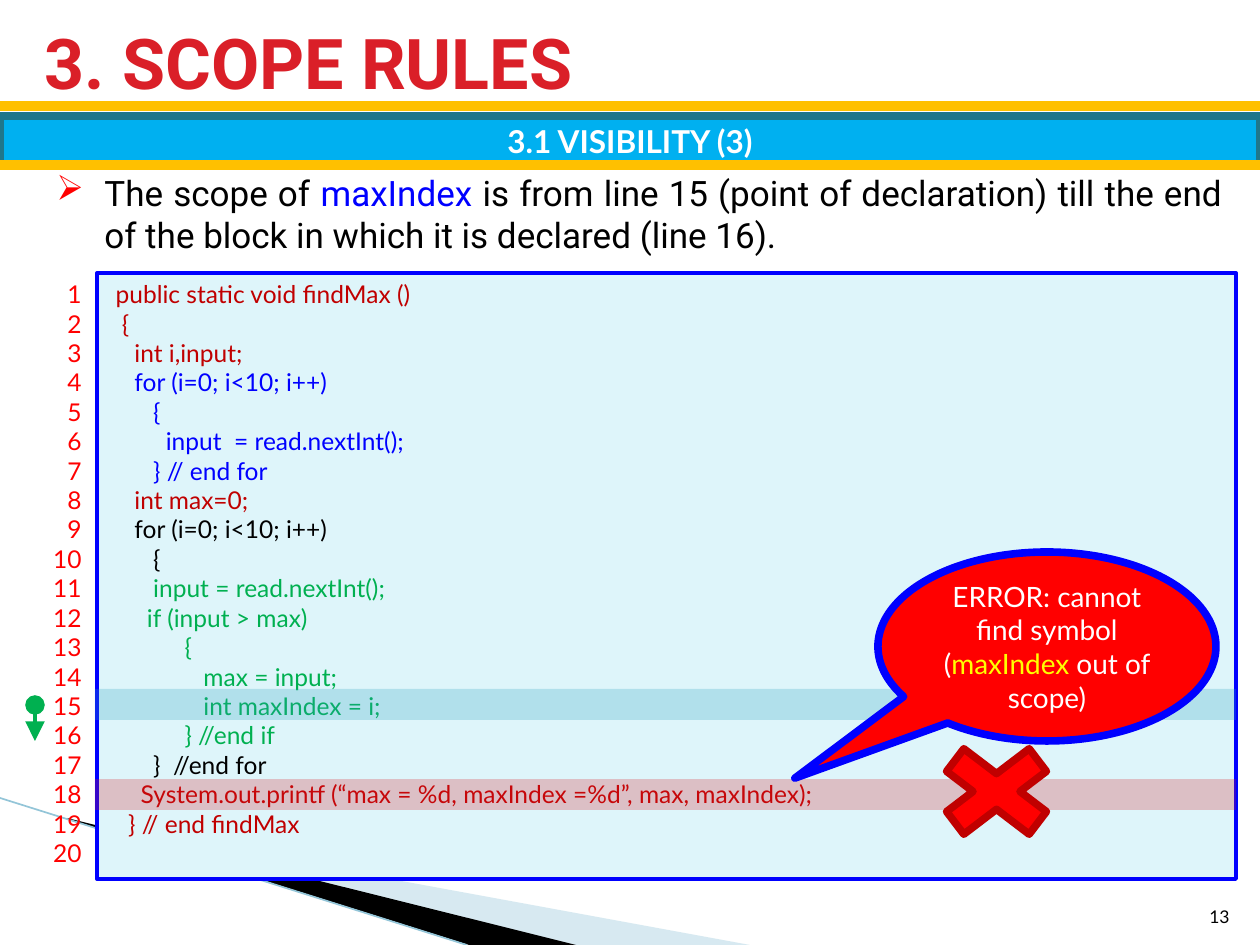
import pptx
import pptx.util
import pptx.dml.color
import pptx.enum.shapes
import pptx.enum.text
import pptx.oxml.ns
from lxml import etree

# Content
RED, BLUE, GREEN, BLACK, WHITE = "C00000", "0000FF", "00B050", "000000", "FFFFFF"
TITLE = "3. SCOPE RULES"
BANNER = "3.1 VISIBILITY (3)"
BULLET = [("The scope of ", BLACK), ("maxIndex", BLUE),
          (" is from line 15 (point of declaration) till the end of the block "
           "in which it is declared (line 16).", BLACK)]
CODE = [
    (" public static void findMax ()", RED),
    ("  {", RED),
    ("    int i,input;", RED),
    ("    for (i=0; i<10; i++)", BLUE),
    ("       {", BLUE),
    ("         input  = read.nextInt();", BLUE),
    ("       } // end for", BLUE),
    ("    int max=0;", RED),
    ("    for (i=0; i<10; i++)", BLACK),
    ("       {", BLACK),
    ("       input = read.nextInt();", GREEN),
    ("      if (input > max)", GREEN),
    ("            {", GREEN),
    ("               max = input;", GREEN),
    ("               int maxIndex = i;", GREEN),
    ("            } //end if", GREEN),
    ("       }  //end for", BLACK),
    ("     System.out.printf (“max = %d, maxIndex =%d”, max, maxIndex);", RED),
    ("   } // end findMax", RED),
]
LINE_COUNT = 20
ERROR = [[("ERROR: cannot find symbol", WHITE)],
         [("(", WHITE), ("maxIndex", "FFFF00"), (" out of scope)", WHITE)]]
SWOOSHES = [  # points, colour, opacity %
    ([(69, 820), (750, 945), (575, 945), (69, 819)], "9CCADC", 40),
    ([(67, 818), (576, 945), (469, 945), (68, 819)], BLACK, 100),
]
HIGHLIGHTS = [(689, "2DA2BF"), (779, "DA1F28")]  # top, colour

SCALE = 914400 / 126
SHAPE = pptx.enum.shapes.MSO_SHAPE
ALIGN = pptx.enum.text.PP_ALIGN
ANCHOR = pptx.enum.text.MSO_ANCHOR
qn = pptx.oxml.ns.qn


def px(n):
    return pptx.util.Emu(round(n * SCALE))


def rgb(value):
    return pptx.dml.color.RGBColor.from_string(value)


def fill(sp, color, opacity=100):
    sp.shadow.inherit = False
    sp.fill.solid()
    sp.fill.fore_color.rgb = rgb(color)
    if opacity < 100:
        clr = sp.fill._xPr.find(".//" + qn("a:srgbClr"))
        etree.SubElement(clr, qn("a:alpha"), val=str(opacity * 1000))


def outline(sp, color, width):
    sp.line.color.rgb = rgb(color)
    sp.line.width = pptx.util.Pt(width)


def shape(kind, box, color, line=None, opacity=100, adjustments=()):
    sp = slide.shapes.add_shape(kind, *map(px, box))
    for i, value in enumerate(adjustments):
        sp.adjustments[i] = value
    fill(sp, color, opacity)
    if line:
        outline(sp, *line)
    else:
        sp.line.fill.background()
    return sp


def connector(start, end, color, width, head=None, tail=None):
    sp = slide.shapes.add_connector(pptx.enum.shapes.MSO_CONNECTOR.STRAIGHT,
                                    *map(px, start + end))
    outline(sp, color, width)
    for tag, kind in (("a:headEnd", head), ("a:tailEnd", tail)):
        if kind:
            etree.SubElement(sp.line._ln, qn(tag), type=kind, w="lg", len="lg")
    etree.SubElement(sp._element.spPr, qn("a:effectLst"))


def write(sp, paragraphs, size, font="Lato", align=ALIGN.LEFT, anchor=ANCHOR.TOP, bold=False):
    tf = sp.text_frame
    tf.word_wrap = True
    tf.vertical_anchor = anchor
    for i, runs in enumerate(paragraphs):
        p = tf.paragraphs[0] if i == 0 else tf.add_paragraph()
        p.alignment = align
        for text, color in runs:
            r = p.add_run()
            r.text = text
            r.font.size = pptx.util.Pt(size)
            r.font.name = font
            r.font.bold = bold
            r.font.color.rgb = rgb(color)
    return tf


def text_box(box, *args, **kwargs):
    return write(slide.shapes.add_textbox(*map(px, box)), *args, **kwargs)


prs = pptx.Presentation()
prs.slide_width, prs.slide_height = px(1260), px(945)
slide = prs.slides.add_slide(prs.slide_layouts[6])

# Background decoration
for points, color, opacity in SWOOSHES:
    builder = slide.shapes.build_freeform(*points[0], scale=SCALE)
    builder.add_line_segments(points[1:], close=True)
    sp = builder.convert_to_shape()
    fill(sp, color, opacity)
    sp.line.fill.background()
connector((0, 798), (467, 945), "93C5D8", 0.95)

# Title, slide number and banner between two gold rules
connector((0, 106), (1260, 106), "FFC000", 6)
text_box((32, 21, 1193, 82), [[(TITLE, "DA1F28")]], 40, "Roboto",
         anchor=ANCHOR.MIDDLE, bold=True)
text_box((1192, 883, 50, 50), [[("13", BLACK)]], 10, align=ALIGN.RIGHT, anchor=ANCHOR.BOTTOM)
banner = shape(SHAPE.RECTANGLE, (0, 116, 1260, 49), "00B0F0", ("20768B", 4.33))
write(banner, [[(BANNER, WHITE)]], 18, align=ALIGN.CENTER, anchor=ANCHOR.MIDDLE, bold=True)
connector((0, 165), (1260, 165), "FFC000", 6)

# Bullet
tf = text_box((44, 165, 1191, 97), [BULLET], 20, "Roboto", align=ALIGN.JUSTIFY)
pPr = tf.paragraphs[0]._p.get_or_add_pPr()
pPr.set("marL", str(px(48)))
pPr.set("indent", str(px(-48)))
etree.SubElement(etree.SubElement(pPr, qn("a:buClr")), qn("a:srgbClr"), val="FF0000")
etree.SubElement(pPr, qn("a:buChar"), char="➢")

# Code panel with line numbers
panel = shape(SHAPE.RECTANGLE, (97, 273, 1139, 606), "DEF5FA", (BLUE, 2.25))
write(panel, [[line] for line in CODE], 14)
text_box((25, 273, 69, 606), [[(str(n), "FF0000")] for n in range(1, LINE_COUNT + 1)],
         14, align=ALIGN.RIGHT)

# Scope marker and highlighted lines
connector((35, 705), (35, 741), GREEN, 2.25, head="oval", tail="triangle")
for top, color in HIGHLIGHTS:
    shape(SHAPE.RECTANGLE, (95, top, 1141, 31), color, opacity=25)

# Error cross and callout
shape(SHAPE.MATH_MULTIPLY, (917, 731, 159, 121), "FF0000", (RED, 4.33), adjustments=[0.235])
callout = shape(SHAPE.OVAL_CALLOUT, (878, 552, 338, 189), "FF0000", (BLUE, 4.33),
                adjustments=[-0.746, 0.697])
write(callout, ERROR, 16, align=ALIGN.CENTER, anchor=ANCHOR.MIDDLE)

prs.save("out.pptx")
